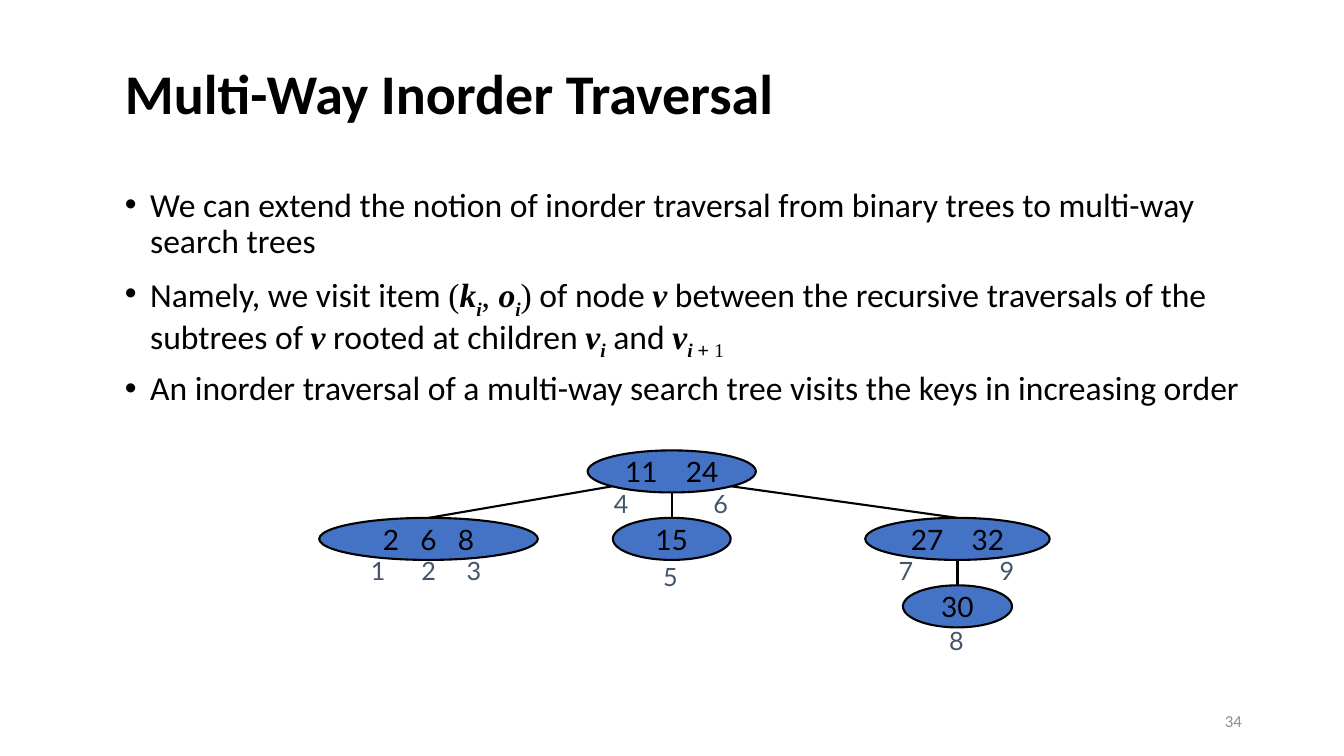
from dataclasses import dataclass
from math import sqrt

from lxml.etree import SubElement
from pptx import Presentation
from pptx.dml.color import RGBColor
from pptx.enum.shapes import MSO_CONNECTOR, MSO_SHAPE
from pptx.enum.text import MSO_ANCHOR, PP_ALIGN
from pptx.oxml.ns import qn
from pptx.util import Cm, Pt


@dataclass(frozen=True)
class Theme:
    """Colours, fonts and type sizes of the slide."""
    ink: str = "000000"
    node: str = "4472C4"
    visit: str = "44546A"
    muted: str = "8C8C8C"
    font: str = "Calibri"
    math_font: str = "Times New Roman"
    plus_font: str = "Arial"
    tree_font: str = "Lato"
    title_size: int = 40
    body_size: int = 24
    key_size: int = 20
    visit_size: int = 18
    number_size: int = 12
    line_width: float = 1.5


THEME = Theme()

# Run styles of the body text
PLAIN = {}
MATH = {"font": THEME.math_font}
SYMBOL = {**MATH, "bold": True, "italic": True}
INDEX = {**SYMBOL, "baseline": -25}
PLUS = {"font": THEME.plus_font, "baseline": -25}
ONE = {**MATH, "baseline": -25}

BULLETS = [
    [("We can extend the notion of inorder traversal from binary trees "
      "to multi-way search trees", PLAIN)],
    [("Namely, we visit item ", PLAIN), ("(", MATH), ("k", SYMBOL),
     ("i", INDEX), (", ", MATH), ("o", SYMBOL), ("i", INDEX), (")", MATH),
     (" of node ", PLAIN), ("v", SYMBOL),
     (" between the recursive traversals of the subtrees of ", PLAIN),
     ("v", SYMBOL), (" rooted at children ", PLAIN), ("v", SYMBOL),
     ("i", INDEX), (" and ", PLAIN), ("v", SYMBOL), ("i ", INDEX),
     ("+ ", PLUS), ("1", ONE)],
    [("An inorder traversal of a multi-way search tree visits the keys "
      "in increasing order", PLAIN)],
]

# Tree geometry in centimetres
TREE_TOP = 11.35
LEVEL_STEP = 1.7
NODE_HEIGHT = 1.06
LABEL_WIDTH, LABEL_HEIGHT = 0.86, 1.02


@dataclass(frozen=True)
class Node:
    """A tree node; visits pair each visit number with its x offset."""
    keys: tuple
    center: float
    level: int
    width: float
    visits: tuple
    key_gap: int = 15
    label_overlap: float = 0.23

    @property
    def top(self):
        """Top edge of the node."""
        return TREE_TOP + self.level * LEVEL_STEP

    @property
    def bottom(self):
        """Bottom edge of the node."""
        return self.top + NODE_HEIGHT


ROOT = Node(("11", "24"), 16.93, 0, 4.24, (("4", -1.28), ("6", 1.23)))
LEFT = Node(("2", "6", "8"), 10.8, 1, 5.51,
            (("1", -1.27), ("2", 0), ("3", 1.14)), key_gap=10)
MIDDLE = Node(("15",), 16.93, 1, 2.97, (("5", -0.04),), label_overlap=0.1)
RIGHT = Node(("27", "32"), 24.13, 1, 4.65, (("7", -1.3), ("9", 1.24)))
LEAF = Node(("30",), 24.13, 2, 2.75, (("8", -0.03),), label_overlap=0.17)
NODES = [ROOT, LEFT, MIDDLE, RIGHT, LEAF]
EDGES = [(ROOT, LEFT), (ROOT, MIDDLE), (ROOT, RIGHT), (RIGHT, LEAF)]


def add_run(paragraph, text, *, size, font=THEME.font, color=THEME.ink,
            bold=False, italic=False, baseline=0, spacing=0):
    """Append formatted text; baseline is in percent, spacing in points."""
    run = paragraph.add_run()
    run.text = text
    run.font.size = Pt(size)
    run.font.name = font
    run.font.bold = bold
    run.font.italic = italic
    run.font.color.rgb = RGBColor.from_string(color)
    properties = run._r.get_or_add_rPr()
    if baseline:
        properties.set("baseline", str(baseline * 1000))
    if spacing:
        properties.set("spc", str(spacing * 100))


def add_text_box(slide, left, top, width, height, *, wrap=True,
                 anchor=MSO_ANCHOR.TOP):
    """Add an empty text box and return its text frame."""
    box = slide.shapes.add_textbox(Cm(left), Cm(top), Cm(width), Cm(height))
    box.text_frame.word_wrap = wrap
    box.text_frame.vertical_anchor = anchor
    return box.text_frame


def format_bullet(paragraph):
    """Give a paragraph its spacing, hanging indent and bullet."""
    paragraph.line_spacing = 0.9
    paragraph.space_before = Pt(10)
    properties = paragraph._p.get_or_add_pPr()
    indent = Cm(0.635)
    properties.set("marL", str(indent))
    properties.set("indent", str(-indent))
    SubElement(properties, qn("a:buFont")).set("typeface", "Arial")
    SubElement(properties, qn("a:buChar")).set("char", "•")


def add_bullets(slide):
    """Add the body text."""
    frame = add_text_box(slide, 2.9, 4.62, 28.83, 5.28)
    for index, pieces in enumerate(BULLETS):
        paragraph = frame.add_paragraph() if index else frame.paragraphs[0]
        format_bullet(paragraph)
        for text, style in pieces:
            add_run(paragraph, text, size=THEME.body_size, **style)


def add_node(slide, node):
    """Draw a node as an ellipse with its keys spread apart."""
    shape = slide.shapes.add_shape(
        MSO_SHAPE.OVAL, Cm(node.center - node.width / 2), Cm(node.top),
        Cm(node.width), Cm(NODE_HEIGHT))
    shape.shadow.inherit = False
    shape.fill.solid()
    shape.fill.fore_color.rgb = RGBColor.from_string(THEME.node)
    shape.line.color.rgb = RGBColor.from_string(THEME.ink)
    shape.line.width = Pt(THEME.line_width)
    shape.text_frame.word_wrap = False
    shape.text_frame.vertical_anchor = MSO_ANCHOR.MIDDLE
    paragraph = shape.text_frame.paragraphs[0]
    paragraph.alignment = PP_ALIGN.CENTER
    style = {"size": THEME.key_size, "font": THEME.tree_font}
    for index, key in enumerate(node.keys):
        if index:
            add_run(paragraph, " ", spacing=node.key_gap, **style)
        add_run(paragraph, key, **style)


def add_edge(slide, parent, child):
    """Join the parent's nearest lower edge point to the child's top."""
    start_x, start_y = parent.center, parent.bottom
    if child.center != parent.center:
        side = 1 if child.center > parent.center else -1
        start_x += side * parent.width / 2 / sqrt(2)
        start_y -= NODE_HEIGHT / 2 * (1 - 1 / sqrt(2))
    line = slide.shapes.add_connector(
        MSO_CONNECTOR.STRAIGHT, Cm(start_x), Cm(start_y),
        Cm(child.center), Cm(child.top))
    line.line.color.rgb = RGBColor.from_string(THEME.ink)
    line.line.width = Pt(THEME.line_width)
    SubElement(line._element.spPr, qn("a:effectLst"))


def add_visits(slide, node):
    """Write the visit numbers below a node."""
    for number, offset in node.visits:
        frame = add_text_box(
            slide, node.center + offset - LABEL_WIDTH / 2,
            node.bottom - node.label_overlap, LABEL_WIDTH, LABEL_HEIGHT,
            wrap=False)
        frame.paragraphs[0].alignment = PP_ALIGN.CENTER
        add_run(frame.paragraphs[0], number, size=THEME.visit_size,
                font=THEME.tree_font, color=THEME.visit)


def main():
    """Build and save the slide."""
    presentation = Presentation()
    presentation.slide_width, presentation.slide_height = Cm(33.87), Cm(19.05)
    slide = presentation.slides.add_slide(presentation.slide_layouts[6])

    title = add_text_box(slide, 2.9, 0.84, 21.64, 3.18,
                         anchor=MSO_ANCHOR.MIDDLE).paragraphs[0]
    title.line_spacing = 0.9
    add_run(title, "Multi-Way Inorder Traversal", size=THEME.title_size, bold=True)
    add_bullets(slide)
    for node in NODES:
        add_node(slide, node)
    for parent, child in EDGES:
        add_edge(slide, parent, child)
    for node in NODES:
        add_visits(slide, node)
    number = add_text_box(slide, 23.93, 17.65, 7.62, 1.02,
                          anchor=MSO_ANCHOR.MIDDLE).paragraphs[0]
    number.alignment = PP_ALIGN.RIGHT
    add_run(number, "34", size=THEME.number_size, color=THEME.muted)
    presentation.save("out.pptx")


main()
